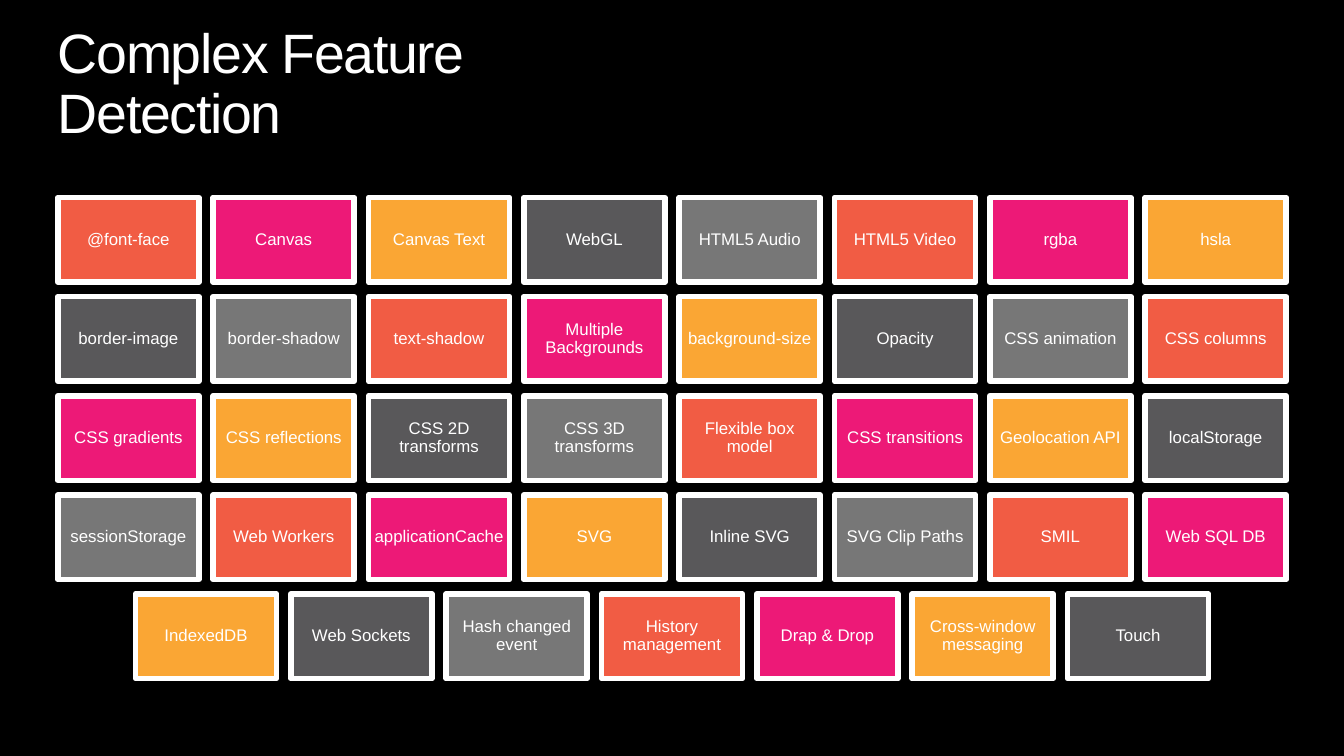
import pptx
import pptx.util
import pptx.dml.color
import pptx.enum.shapes
import pptx.enum.text
import pptx.oxml.ns
import lxml.etree
from pptx.util import Inches, Pt

# Content
TITLE = ("Complex Feature ", "Detection")
ROWS = [
    ["@font-face", "Canvas", "Canvas Text", "WebGL",
     "HTML5 Audio", "HTML5 Video", "rgba", "hsla"],
    ["border-image", "border-shadow", "text-shadow", "Multiple Backgrounds",
     "background-size", "Opacity", "CSS animation", "CSS columns"],
    ["CSS gradients", "CSS reflections", "CSS 2D transforms",
     "CSS 3D transforms", "Flexible box model", "CSS transitions",
     "Geolocation API", "localStorage"],
    ["sessionStorage", "Web Workers", "applicationCache", "SVG",
     "Inline SVG", "SVG Clip Paths", "SMIL", "Web SQL DB"],
    ["IndexedDB", "Web Sockets", "Hash changed event", "History management",
     "Drap & Drop", "Cross-window messaging", "Touch"],
]

# Look
HUES = {"back": "000000", "text": "FFFFFF", "red": "F15C44",
        "pink": "ED1977", "gold": "FAA634", "dark": "59585A",
        "gray": "777777"}
CYCLE = ["red", "pink", "gold", "dark", "gray"]
ALIGN = pptx.enum.text.PP_ALIGN
ANCHOR = pptx.enum.text.MSO_ANCHOR
HEAD = {"size": Pt(29.7), "name": "Arial", "bold": False}
LABEL = {"size": Pt(9), "name": "Arial"}

# Grid, in inches, on a 16:9 slide
WIDTH = 10
HEIGHT = WIDTH * 9 / 16
LEFT, TOP, LAST = 0.43, 1.47, 4.42
TILE_W, TILE_H = 1.05, 0.63
STEP_X = (WIDTH - 2 * LEFT - TILE_W) / (len(ROWS[0]) - 1)
STEP_Y = (LAST - TOP) / (len(ROWS) - 1)


def hue(name):
    return pptx.dml.color.RGBColor.from_string(HUES[name])


def apply(item, form):
    for key, value in form.items():
        setattr(item, key, value)


def set_frame(frame, inset, anchor):
    sides = ("left", "right", "top", "bottom")
    apply(frame, {f"margin_{side}": Inches(inset) for side in sides})
    apply(frame, {"word_wrap": True, "vertical_anchor": anchor,
                  "auto_size": pptx.enum.text.MSO_AUTO_SIZE.NONE})


def add_run(para, text, form):
    run = para.add_run()
    run.text = text
    apply(run.font, form)
    run.font.color.rgb = hue("text")
    return run


def add_title(slide):
    title = slide.shapes.title
    apply(title, {"left": Inches(LEFT), "top": Inches(0.19),
                  "width": Inches(9.15), "height": Inches(0.5)})
    set_frame(title.text_frame, 0, ANCHOR.TOP)
    para = title.text_frame.paragraphs[0]
    apply(para, {"alignment": ALIGN.LEFT, "line_spacing": 0.9})
    for at, line in enumerate(TITLE):
        if at:
            para.add_line_break()
            # The break is taller than the words and opens up the lines
            lxml.etree.SubElement(para._p[-1], pptx.oxml.ns.qn("a:rPr"),
                                  sz="3300")
        run = add_run(para, line, HEAD)
        run.font._element.set("spc", "-75")


def add_tile(slide, text, left, top, fill):
    tile = slide.shapes.add_shape(
        pptx.enum.shapes.MSO_SHAPE.RECTANGLE,
        Inches(left), Inches(top), Inches(TILE_W), Inches(TILE_H))
    tile.shadow.inherit = False
    tile.fill.solid()
    tile.fill.fore_color.rgb = hue(fill)
    tile.line.color.rgb = hue("text")
    tile.line.width = Pt(3)
    set_frame(tile.text_frame, 0.04, ANCHOR.MIDDLE)
    para = tile.text_frame.paragraphs[0]
    apply(para, {"alignment": ALIGN.CENTER, "line_spacing": 0.9})
    add_run(para, text, LABEL)


def main():
    deck = pptx.Presentation()
    apply(deck, {"slide_width": Inches(WIDTH),
                 "slide_height": Inches(HEIGHT)})
    slide = deck.slides.add_slide(deck.slide_layouts[5])
    slide.background.fill.solid()
    slide.background.fill.fore_color.rgb = hue("back")
    add_title(slide)

    # Each row is centred; the colours run on from row to row
    count = 0
    for row, names in enumerate(ROWS):
        start = (WIDTH - TILE_W - STEP_X * (len(names) - 1)) / 2
        for col, name in enumerate(names):
            add_tile(slide, name, start + col * STEP_X, TOP + row * STEP_Y,
                     CYCLE[count % len(CYCLE)])
            count += 1
    deck.save("out.pptx")


if __name__ == "__main__":
    main()
